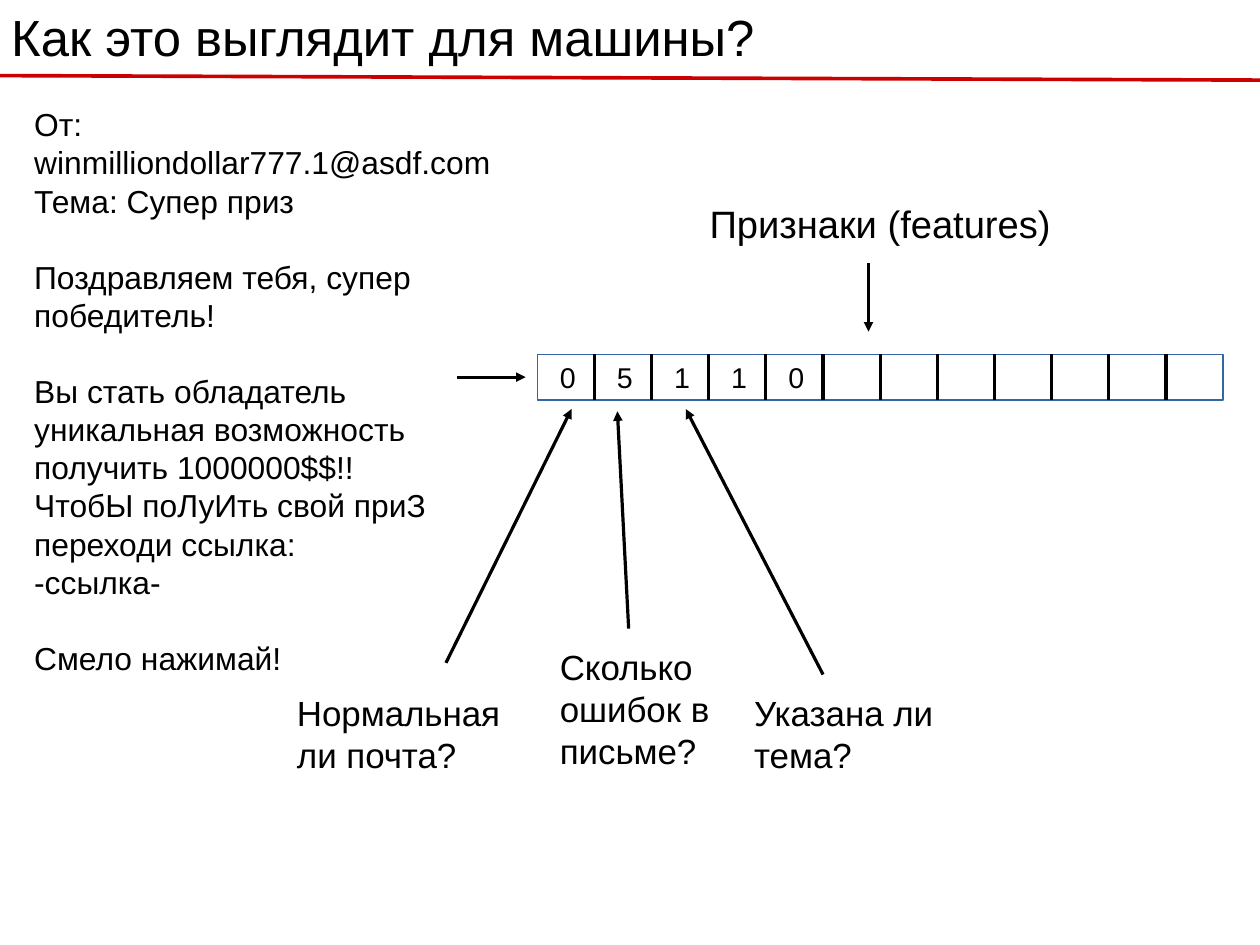
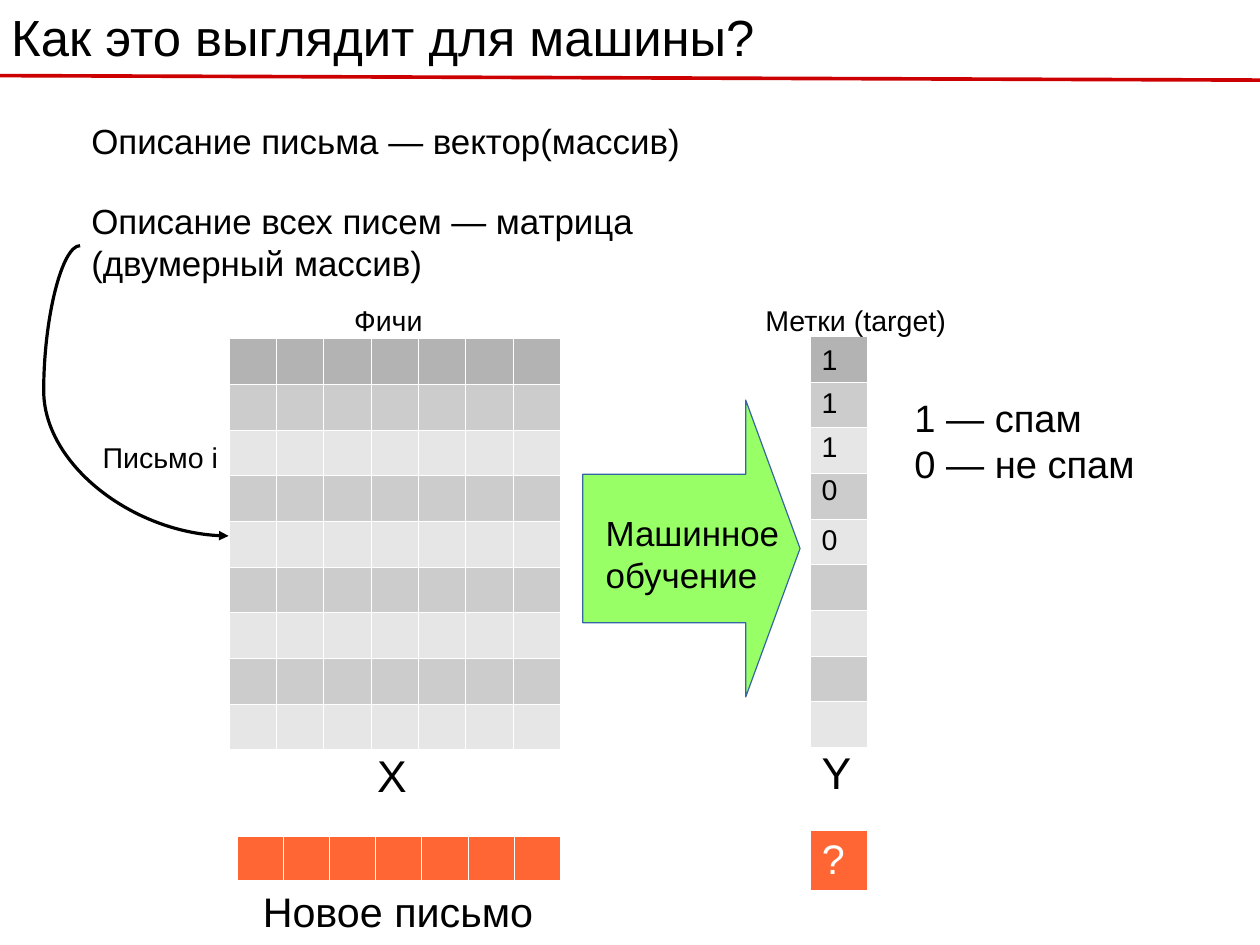
"""Build two slides showing how a machine sees a letter."""
from lxml.etree import SubElement
from pptx import Presentation
from pptx.dml.color import RGBColor
from pptx.enum.shapes import MSO_CONNECTOR, MSO_SHAPE
from pptx.enum.text import MSO_ANCHOR
from pptx.oxml.ns import qn
from pptx.util import Cm, Pt

BLACK = RGBColor(0, 0, 0)
WHITE = RGBColor(255, 255, 255)
RED = RGBColor(0xCC, 0, 0)
BLUE = RGBColor(0x34, 0x65, 0xA4)
GREEN = RGBColor(0x99, 0xFF, 0x66)
ORANGE = RGBColor(0xFF, 0x66, 0x33)
DARK = RGBColor(0xB3, 0xB3, 0xB3)
MID = RGBColor(0xCC, 0xCC, 0xCC)
LIGHT = RGBColor(0xE6, 0xE6, 0xE6)
FONT = "Arial"
WIDE, HIGH = 28, 21

TITLE = "Как это выглядит для машины?"
LETTER = [
    ("От: winmilliondollar777.1@asdf.com", 0),
    ("Тема: Супер приз", 0),
    ("Поздравляем тебя, супер победитель!", 24),
    ("Вы стать обладатель уникальная возможность получить 1000000$$!!", 24),
    ("ЧтобЫ поЛуИть свой приЗ переходи ссылка:", 0),
    ("-ссылка-", 0),
    ("Смело нажимай!", 24),
]
DIGITS = ["0", "5", "1", "1", "0"]
CELLS, STEP = 12, 1.27
ROW_X, ROW_Y, ROW_H = 11.94, 7.87, 1.02
ARROWS = [
    (10.16, 8.38, 11.68, 8.38),
    (9.91, 14.73, 12.7, 9.09),
    (13.97, 13.97, 13.72, 9.14),
    (18.29, 14.99, 15.24, 9.09),
    (19.3, 5.84, 19.3, 7.37),
]
NOTES = [
    (6.35, 15.24, 5.33, 22, ["Нормальная ли почта?"]),
    (12.19, 14.22, 5.33, 22, ["Сколько ошибок в письме?"]),
    (16.51, 15.24, 5.33, 22, ["Указана ли тема?"]),
    (15.52, 4.32, 8.3, 24, ["Признаки (features)"]),
]

SHADES = [DARK] + [MID, LIGHT] * 4
GRID_H = 9.14
LEFT, RIGHT = 5.08, 18.01
TABLES = [
    (LEFT, 7.52, 7.37, GRID_H, 7, SHADES),
    (RIGHT, 7.47, 1.25, GRID_H, 1, SHADES),
    (5.26, 18.57, 7.19, 0.99, 7, [ORANGE]),
    (RIGHT, 18.44, 1.25, 1.33, 1, [ORANGE]),
]
LABELS = [
    (1.78, 2.54, 17.53, 22, ["Описание письма — вектор(массив)"]),
    (1.78, 4.32, 13.97, 22,
     ["Описание всех писем — матрица", "(двумерный массив)"]),
    (2.03, 9.65, 3.3, 18, ["Письмо i"]),
    (7.62, 6.6, 3.56, 18, ["Фичи"]),
    (16.76, 6.6, 4.83, 18, ["Метки (target)"]),
    (20.07, 8.64, 5.84, 24, ["1 — спам", "0 — не спам"]),
    (8.13, 16.51, 1.52, 28, ["Х"]),
    (RIGHT, 16.43, 1.52, 28, ["Y"]),
    (5.59, 19.56, 7.11, 26, ["Новое письмо"]),
    (13.21, 11.25, 4.57, 22, ["Машинное", "обучение"]),
]
MARKS = [("1", 7.47), ("1", 8.43), ("1", 9.4), ("0", 10.36), ("0", 11.48)]


def write(para, words, size, tint=BLACK):
    run = para.add_run()
    run.text = words
    run.font.name = FONT
    run.font.size = Pt(size)
    run.font.color.rgb = tint


def text(slide, x, y, w, size, lines):
    box = slide.shapes.add_textbox(
        Cm(x), Cm(y), Cm(w), Pt(size * 1.2 * len(lines)) + Cm(0.25))
    frame = box.text_frame
    frame.word_wrap = True
    for i, line in enumerate(lines):
        words, gap = line if isinstance(line, tuple) else (line, 0)
        para = frame.add_paragraph() if i else frame.paragraphs[0]
        if gap:
            para.space_before = Pt(gap)
        write(para, words, size)


def link(slide, ends, tint=BLACK, width=0, head=False,
         kind=MSO_CONNECTOR.STRAIGHT):
    line = slide.shapes.add_connector(kind, *map(Cm, ends))
    line.line.color.rgb = tint
    line.line.width = Pt(width)
    if head:
        SubElement(line.line._get_or_add_ln(), qn("a:tailEnd"),
                   type="triangle")
    SubElement(line._element.spPr, qn("a:effectLst"))
    return line


def block(slide, kind, x, y, w, h, fill):
    shape = slide.shapes.add_shape(kind, Cm(x), Cm(y), Cm(w), Cm(h))
    shape.shadow.inherit = False
    shape.fill.solid()
    shape.fill.fore_color.rgb = fill
    shape.line.color.rgb = BLUE
    shape.line.width = Pt(0)
    return shape


def grid(slide, x, y, w, h, cols, fills):
    table = slide.shapes.add_table(
        len(fills), cols, Cm(x), Cm(y), Cm(w), Cm(h)).table
    table.first_row = table.horz_banding = False
    for row, fill in zip(table.rows, fills):
        for cell in row.cells:
            cell.margin_top = cell.margin_bottom = 0
            cell.vertical_anchor = MSO_ANCHOR.MIDDLE
            props = cell._tc.get_or_add_tcPr()
            for side in ("lnL", "lnR", "lnT", "lnB"):
                edge = SubElement(props, qn("a:" + side), w=str(Pt(0.06)))
                solid = SubElement(edge, qn("a:solidFill"))
                SubElement(solid, qn("a:srgbClr"), val=str(WHITE))
            cell.fill.solid()
            cell.fill.fore_color.rgb = fill
    return table


def start(deck):
    slide = deck.slides.add_slide(deck.slide_layouts[6])
    link(slide, (0, 1.68, WIDE, 1.78), RED, 2.3)
    text(slide, 0, 0, 17.5, 32, [TITLE])
    return slide


def vector(deck):
    slide = start(deck)
    text(slide, 0.51, 2.21, 10.8, 20, LETTER)
    block(slide, MSO_SHAPE.RECTANGLE,
          ROW_X, ROW_Y, CELLS * STEP, ROW_H, WHITE)
    for i in range(1, CELLS):
        x = ROW_X + i * STEP
        link(slide, (x, ROW_Y + ROW_H, x, ROW_Y))
    for i, digit in enumerate(DIGITS):
        text(slide, ROW_X + 0.25 + i * STEP, ROW_Y, 1.02, 18, [digit])
    for ends in ARROWS:
        link(slide, ends, head=True)
    for note in NOTES:
        text(slide, *note)


def matrix(deck):
    slide = start(deck)
    tables = [grid(slide, *item) for item in TABLES]
    ask = tables[-1].cell(0, 0).text_frame.paragraphs[0]
    write(ask, "?", 26, WHITE)
    curve = link(slide, (1.78, 5.46, LEFT, 11.91), head=True,
                 kind=MSO_CONNECTOR.CURVE)
    bend = curve._element.spPr.find(qn("a:prstGeom")).get_or_add_avLst()
    SubElement(bend, qn("a:gd"), name="adj1", fmla="val -24500")
    arrow = block(slide, MSO_SHAPE.RIGHT_ARROW, 12.95, 8.89, 4.83, 6.6, GREEN)
    arrow.adjustments[0] = 0.5
    arrow.adjustments[1] = 0.25
    for label in LABELS:
        text(slide, *label)
    for mark, y in MARKS:
        text(slide, RIGHT, y, 1.25, 18, [mark])


def main():
    deck = Presentation()
    deck.slide_width, deck.slide_height = Cm(WIDE), Cm(HIGH)
    vector(deck)
    matrix(deck)
    deck.save("out.pptx")


if __name__ == "__main__":
    main()
